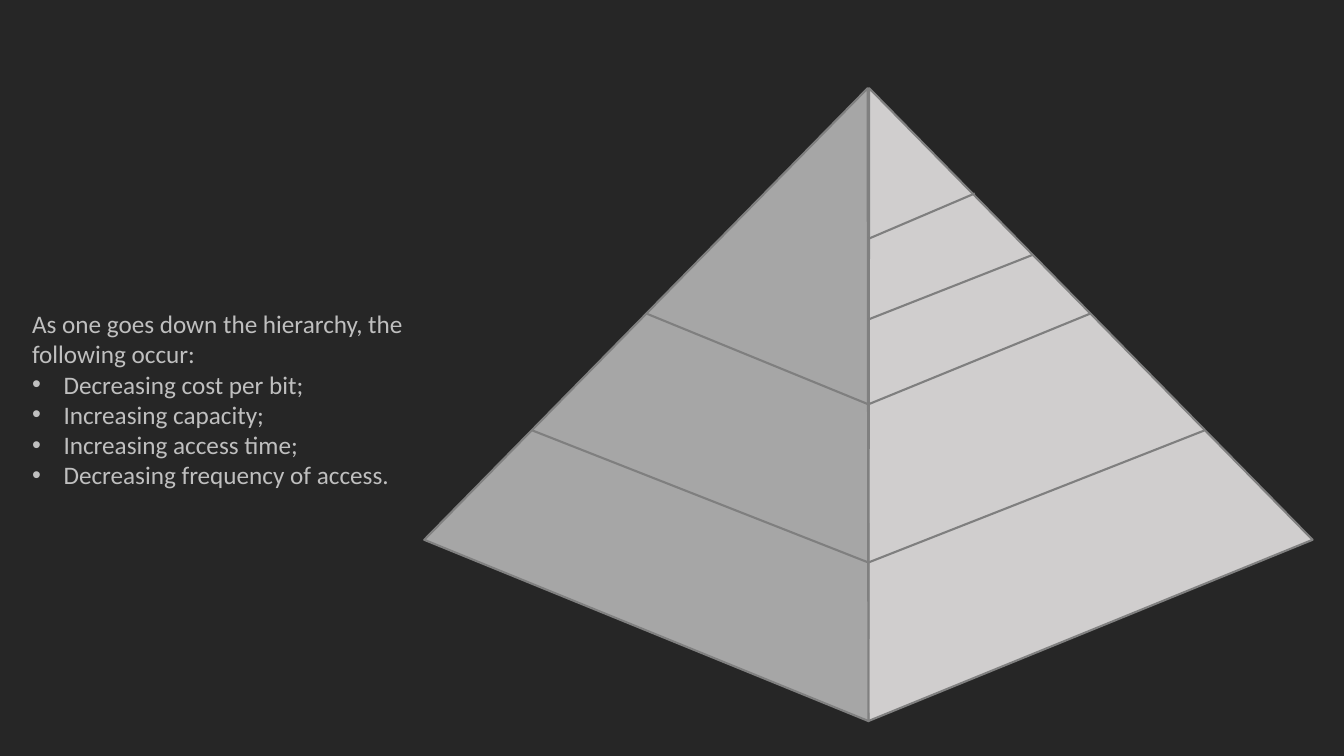
from lxml.etree import SubElement as Sub
from pptx import Presentation
from pptx.dml.color import RGBColor
from pptx.enum.shapes import MSO_CONNECTOR as Conn, MSO_SHAPE as Kind
from pptx.enum.text import MSO_ANCHOR as Anchor, MSO_AUTO_SIZE as Auto
from pptx.oxml.ns import qn
from pptx.util import Pt

NIGHT = RGBColor(0x26, 0x26, 0x26)
LIGHT = RGBColor(0xD0, 0xCE, 0xCE)
SHADE = RGBColor(0xA6, 0xA6, 0xA6)
EDGE = RGBColor(0x80, 0x80, 0x80)
RULE = RGBColor(0x7F, 0x7F, 0x7F)
PALE = RGBColor(0xBF, 0xBF, 0xBF)

AXIS = 620.3  # the front edge of the pyramid
WIDE, HIGH, TOP = 342.7, 418.3, 47.5
SHIFT = 79.6  # from the front edge to the centre of a face
TILT = 22.2

# Distance from the front edge, outer height, front height
BOTH = [(158.5, 224, 288.8), (240.2, 307.4, 401.8)]
RIGHT = [(76, 138.2, 170.6), (117, 182.2, 228.2)]

INTRO = "As one goes down the hierarchy, the following occur:"
TRENDS = [
    "Decreasing cost per bit;",
    "Increasing capacity;",
    "Increasing access time;",
    "Decreasing frequency of access.",
]


def add_face(slide, side, fill):
    """Draw one face; side is 1 for right and -1 for left."""
    left = AXIS + side * SHIFT - WIDE / 2
    face = slide.shapes.add_shape(
        Kind.ISOSCELES_TRIANGLE, Pt(left), Pt(TOP), Pt(WIDE), Pt(HIGH))
    face.rotation = -side * TILT
    face.shadow.inherit = False
    face.fill.solid()
    face.fill.fore_color.rgb = fill
    face.line.color.rgb = EDGE
    face.line.width = Pt(1.5)


def add_rule(slide, side, reach, outer, front):
    """Draw a level line from the front edge to the outer edge."""
    rule = slide.shapes.add_connector(
        Conn.STRAIGHT, Pt(AXIS), Pt(front),
        Pt(AXIS + side * reach), Pt(outer))
    rule.line.color.rgb = RULE
    rule.line.width = Pt(1.5)
    Sub(rule._element.spPr, qn("a:effectLst"))


def add_para(para, text, size=18, color=PALE, font="Calibri", indent=0):
    """Fill a paragraph; an indent gives it a hanging bullet."""
    run = para.add_run()
    run.text = text
    run.font.size = Pt(size)
    run.font.name = font
    run.font.color.rgb = color
    if indent:
        props = para._p.get_or_add_pPr()
        props.set("marL", str(Pt(indent)))
        props.set("indent", str(-Pt(indent)))
        Sub(props, qn("a:buFont"), typeface="Arial")
        Sub(props, qn("a:buChar"), char="•")


def add_note(slide):
    """Write the intro and the list of trends."""
    box = slide.shapes.add_textbox(Pt(15.8), Pt(216.7), Pt(286.6), Pt(159.8))
    frame = box.text_frame
    frame.word_wrap = True
    frame.auto_size = Auto.SHAPE_TO_FIT_TEXT
    frame.vertical_anchor = Anchor.TOP
    add_para(frame.paragraphs[0], INTRO)
    for trend in TRENDS:
        add_para(frame.add_paragraph(), trend, indent=22.5)


def main():
    """Build the slide and save it."""
    deck = Presentation()
    deck.slide_width, deck.slide_height = Pt(960), Pt(540)
    slide = deck.slides.add_slide(deck.slide_layouts[6])
    back = slide.background.fill
    back.solid()
    back.fore_color.rgb = NIGHT

    add_face(slide, 1, LIGHT)
    add_face(slide, -1, SHADE)
    for level in BOTH:
        for side in (-1, 1):
            add_rule(slide, side, *level)
    for level in RIGHT:
        add_rule(slide, 1, *level)
    add_note(slide)
    deck.save("out.pptx")


main()
